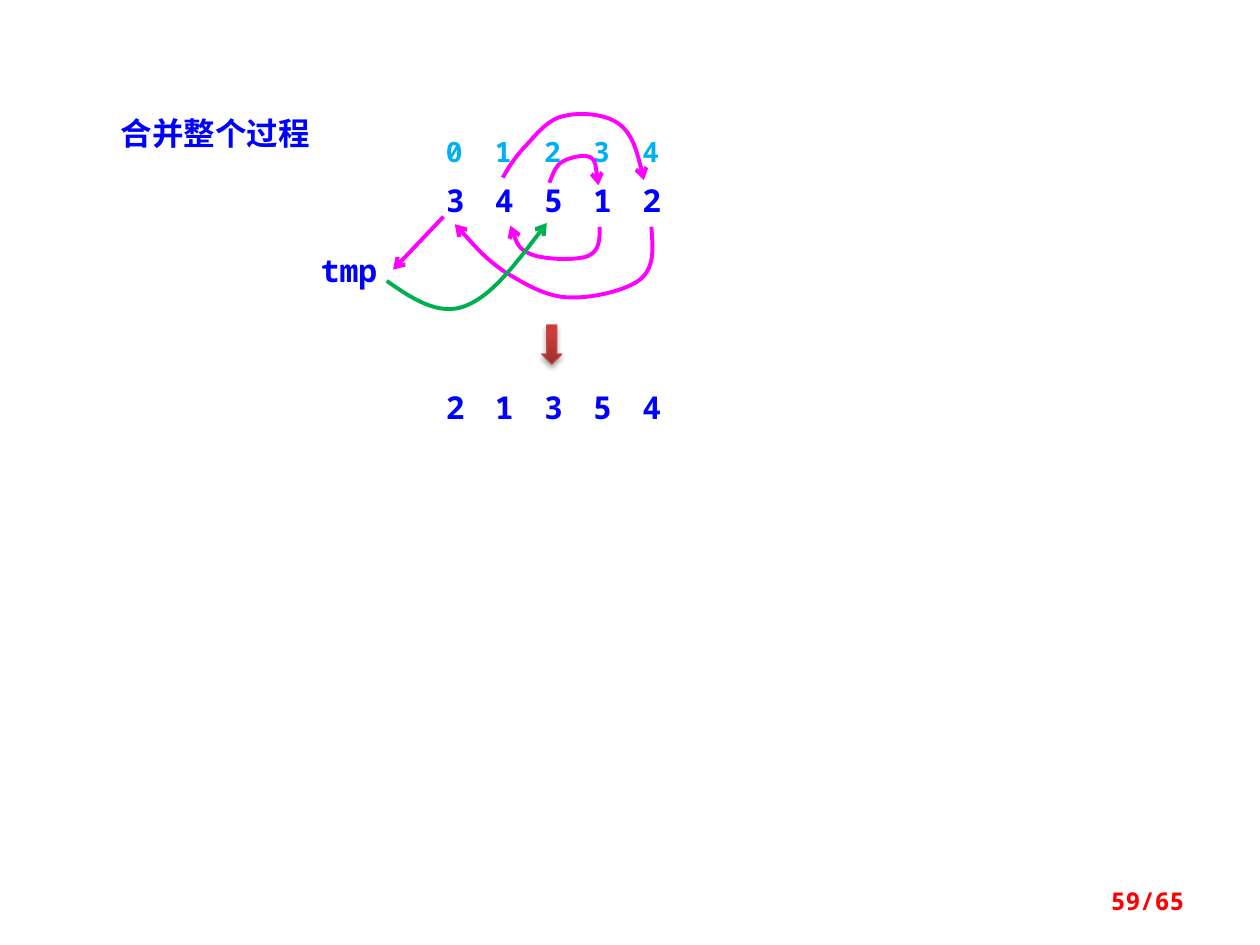
from copy import deepcopy

from pptx import Presentation
from pptx import util as u
from pptx.dml.color import RGBColor
from pptx.enum import shapes, text
from pptx.oxml import ns
from pptx.oxml.xmlchemy import OxmlElement

BLUE, CYAN, MAGENTA, GREEN, RED = "0000FF", "00B0F0", "FF00FF", "00B050", "FF0000"
CJK, MONO = "Noto Sans CJK SC", "Noto Sans Mono"
COLUMN_LEFT, COLUMN_STEP, COLUMN_WIDTH = 3.44, 0.39, 0.31


def rgb(code):
    return RGBColor.from_string(code)


def add_element(parent, tag, **attributes):
    element = OxmlElement(tag)
    for key, value in attributes.items():
        element.set(key, str(value))
    parent.append(element)
    return element


class Diagram:
    """Holds the slide being drawn and its line weight."""

    def __init__(self, slide, weight=2.25):
        self.shapes = slide.shapes
        self.weight = u.Pt(weight)

    def label(self, words, left, top, width, height=0.4, *, size=18, font=MONO,
              color=BLUE, align=text.PP_ALIGN.CENTER, anchor=text.MSO_ANCHOR.TOP,
              autosize=text.MSO_AUTO_SIZE.SHAPE_TO_FIT_TEXT):
        box = self.shapes.add_textbox(*map(u.Inches, (left, top, width, height)))
        frame = box.text_frame
        frame.word_wrap = True
        frame.auto_size = autosize
        frame.vertical_anchor = anchor
        paragraph = frame.paragraphs[0]
        paragraph.alignment = align
        run = paragraph.add_run()
        run.text = words
        run.font.size = u.Pt(size)
        run.font.bold = True
        run.font.name = font
        run.font.color.rgb = rgb(color)
        add_element(run.font._element, "a:ea", typeface=font)

    def row(self, digits, top, **style):
        for column, digit in enumerate(digits):
            self.label(digit, COLUMN_LEFT + column * COLUMN_STEP, top, COLUMN_WIDTH, **style)

    def arrow_line(self, line_shape, color):
        """Colours the line and puts an arrowhead at its end."""
        line_shape.line.color.rgb = rgb(color)
        line_shape.line.width = self.weight
        properties = line_shape._element.spPr
        add_element(properties.find(ns.qn("a:ln")), "a:tailEnd", type="arrow")

    def straight_arrow(self, start, end, color):
        ends = map(u.Inches, (*start, *end))
        connector = self.shapes.add_connector(shapes.MSO_CONNECTOR.STRAIGHT, *ends)
        self.arrow_line(connector, color)
        add_element(connector._element.spPr, "a:effectLst")

    def curved_arrow(self, start, *points, color=MAGENTA):
        """Draws cubic Bézier segments; each takes three of the points."""
        builder = self.shapes.build_freeform(*map(u.Inches, start))
        builder.add_line_segments([tuple(map(u.Inches, p)) for p in points], close=False)
        curve = builder.convert_to_shape()
        curve.fill.background()
        curve.shadow.inherit = False
        self.arrow_line(curve, color)
        outline = curve._element.spPr.find(".//" + ns.qn("a:path"))
        steps = outline.findall(ns.qn("a:lnTo"))
        for first in range(0, len(steps), 3):
            segment = add_element(outline, "a:cubicBezTo")
            for step in steps[first:first + 3]:
                segment.append(step[0])
                outline.remove(step)

    def block_arrow(self, left, top, width, height, stops, outline):
        arrow = self.shapes.add_shape(shapes.MSO_SHAPE.DOWN_ARROW,
                                      *map(u.Inches, (left, top, width, height)))
        arrow.fill.gradient()
        arrow.fill.gradient_angle = 90
        properties = arrow._element.spPr
        stop_list = properties.find(".//" + ns.qn("a:gsLst"))
        stop_list.append(deepcopy(stop_list[0]))
        for stop, (position, color) in zip(arrow.fill.gradient_stops, stops):
            stop.position = position
            stop.color.rgb = rgb(color)
        arrow.line.color.rgb = rgb(outline)
        arrow.line.width = u.Pt(0.75)
        arrow.shadow.inherit = False
        shadow = add_element(properties.find(ns.qn("a:effectLst")), "a:outerShdw",
                             blurRad=u.Pt(3.1), dist=u.Pt(1.8), dir=90 * 60000, rotWithShape=0)
        shade = add_element(shadow, "a:srgbClr", val="000000")
        add_element(shade, "a:alpha", val=35000)


def main():
    deck = Presentation()
    deck.slide_width, deck.slide_height = u.Inches(10), u.Inches(7.5)
    diagram = Diagram(deck.slides.add_slide(deck.slide_layouts[6]))

    diagram.label("合并整个过程", 0.86, 0.86, 2.03, font=CJK, align=text.PP_ALIGN.LEFT)
    diagram.row("34512", 1.39)
    diagram.row("01234", 1.02, height=0.37, size=16, color=CYAN)
    diagram.label("tmp", 2.42, 1.94, 0.7)

    diagram.straight_arrow((3.52, 1.72), (3.12, 2.14), MAGENTA)
    diagram.curved_arrow(
        (5.17, 1.8), (5.18, 1.96), (5.2, 2.11), (5.09, 2.21),
        (4.99, 2.3), (4.7, 2.37), (4.52, 2.36),
        (4.34, 2.36), (4.16, 2.25), (4.01, 2.16),
        (3.86, 2.06), (3.74, 1.92), (3.61, 1.78))
    diagram.curved_arrow(
        (3.99, 1.41), (4.04, 1.32), (4.1, 1.23), (4.18, 1.15),
        (4.26, 1.06), (4.36, 0.94), (4.48, 0.92),
        (4.6, 0.89), (4.81, 0.9), (4.92, 0.99),
        (5.02, 1.07), (5.07, 1.25), (5.11, 1.43))
    diagram.curved_arrow(
        (4.76, 1.8), (4.76, 1.9), (4.76, 1.99), (4.67, 2.03),
        (4.58, 2.07), (4.32, 2.06), (4.22, 2.02),
        (4.12, 1.98), (4.08, 1.89), (4.05, 1.79))
    diagram.curved_arrow(
        (4.36, 1.45), (4.39, 1.38), (4.41, 1.31), (4.47, 1.28),
        (4.52, 1.25), (4.64, 1.22), (4.69, 1.25),
        (4.73, 1.28), (4.74, 1.41), (4.75, 1.47))

    diagram.row("21354", 3.03)
    diagram.block_arrow(4.3, 2.58, 0.16, 0.31, outline="BF4C48",
                        stops=[(0, "9C2F2D"), (0.8, "CB3E3A"), (1, "CE3B37")])
    diagram.curved_arrow(
        (3.07, 2.23), (3.27, 2.37), (3.48, 2.51), (3.69, 2.43),
        (3.9, 2.35), (4.12, 2.06), (4.34, 1.77), color=GREEN)

    diagram.label("59/65", 7.17, 6.95, 2.33, size=14, color=RED,
                  align=text.PP_ALIGN.RIGHT, anchor=text.MSO_ANCHOR.MIDDLE,
                  autosize=text.MSO_AUTO_SIZE.NONE)
    deck.save("out.pptx")


if __name__ == "__main__":
    main()
